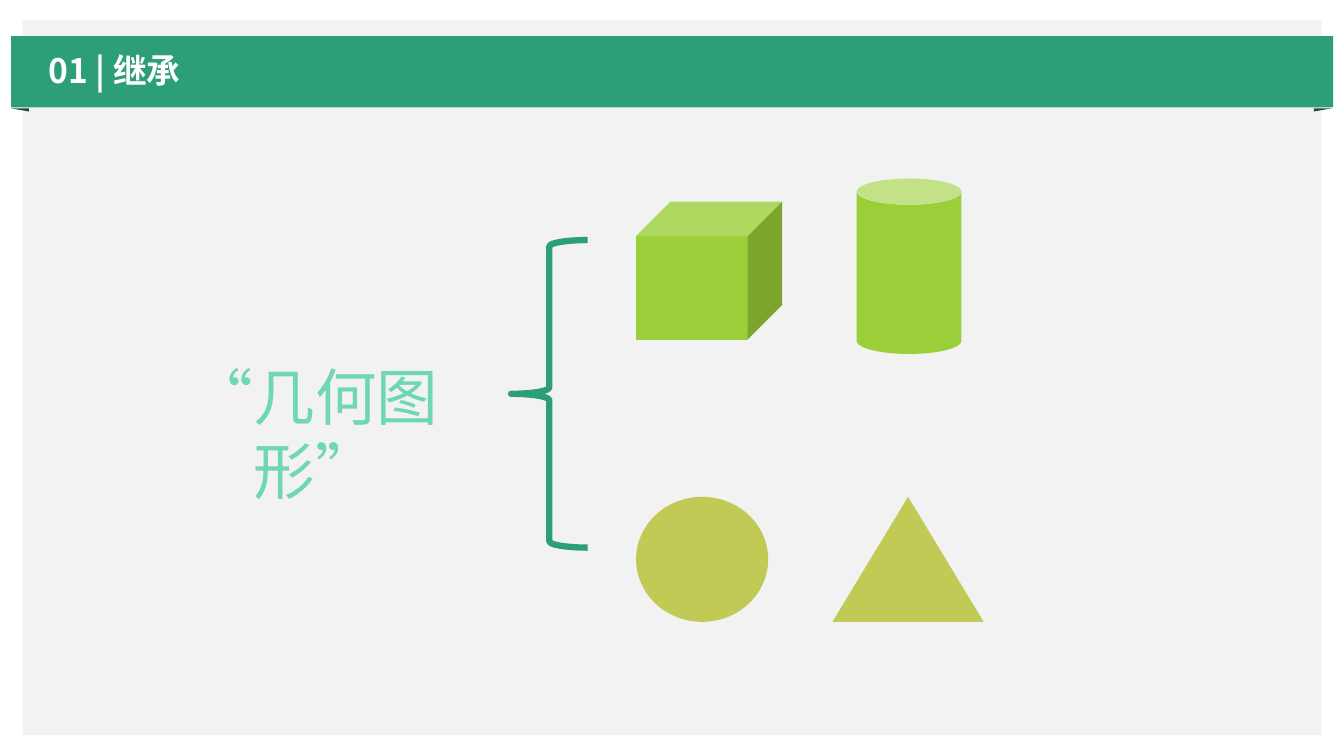
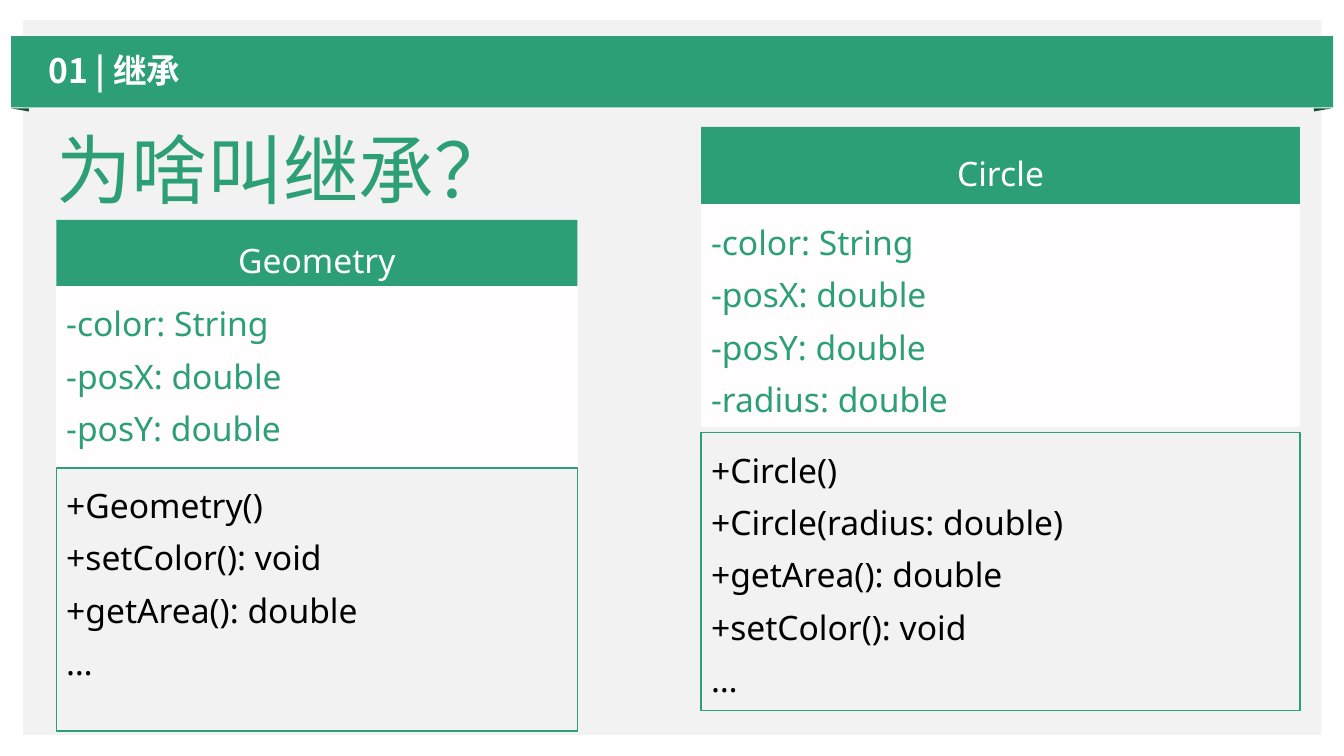
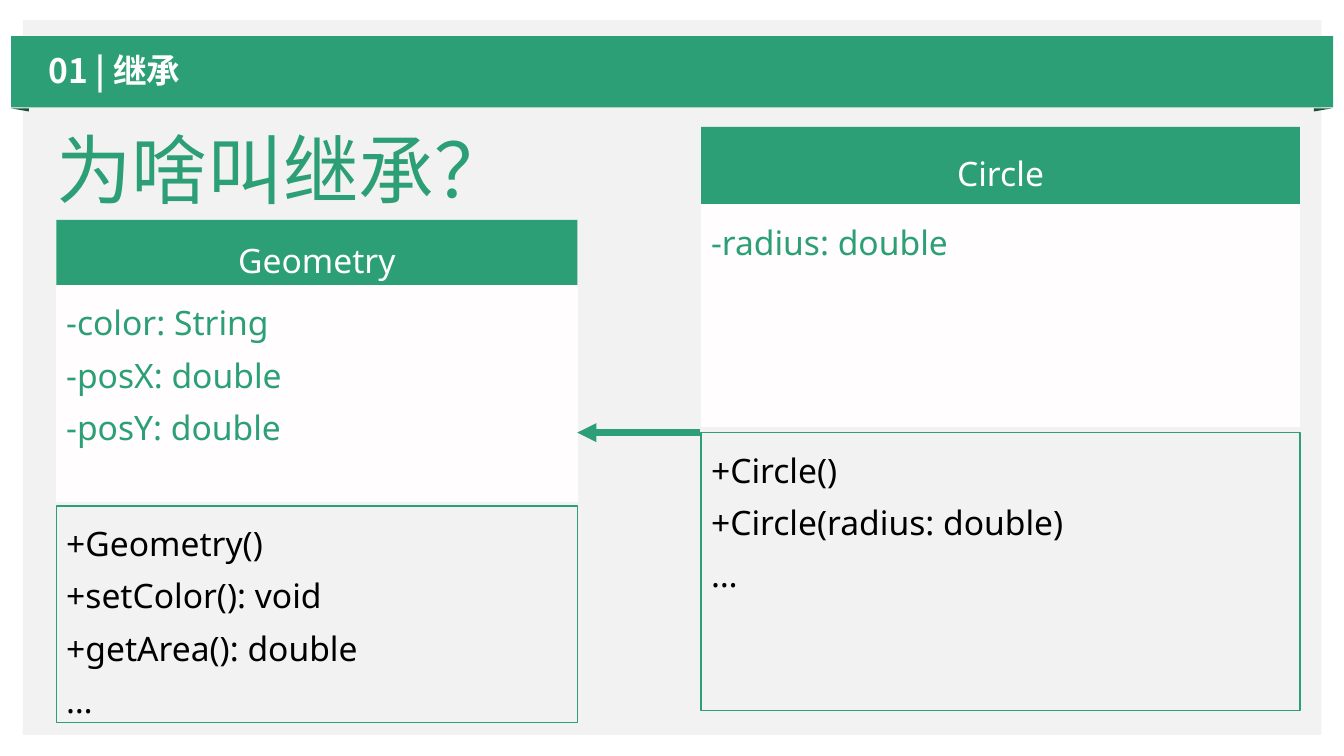
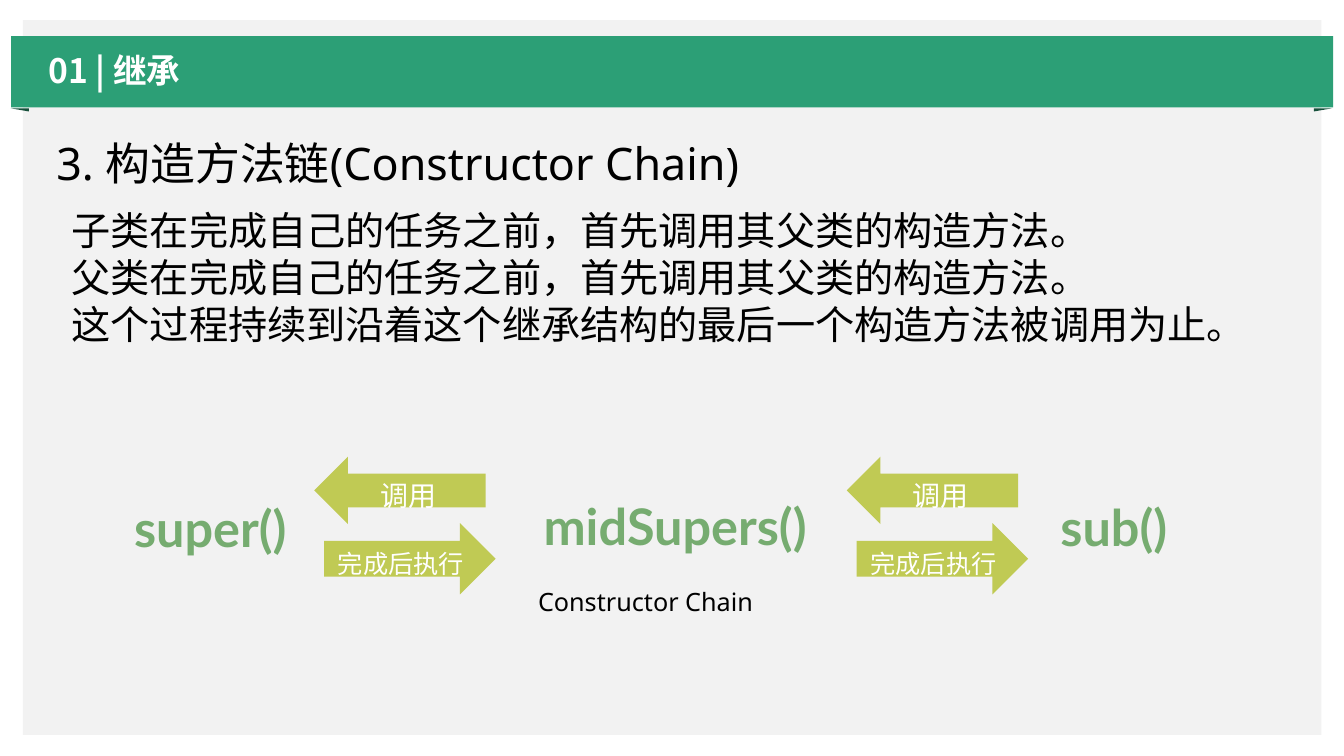
from lxml import etree
from pptx import Presentation
from pptx.dml.color import RGBColor
from pptx.enum import lang, shapes, text
from pptx.oxml import ns
from pptx.util import Cm, Pt

GREEN = RGBColor(0x2C, 0x9F, 0x76)
DARK_GREEN = RGBColor(0x16, 0x50, 0x3B)
MINT = RGBColor(0x6F, 0xD7, 0xB2)
SAGE = RGBColor(0x76, 0xAC, 0x70)
LIME = RGBColor(0x9B, 0xCF, 0x39)
OLIVE = RGBColor(0xC0, 0xCA, 0x54)
GREY = RGBColor(0xF2, 0xF2, 0xF2)
OFF_WHITE = RGBColor(0xFF, 0xFD, 0xFD)
WHITE = RGBColor(0xFF, 0xFF, 0xFF)
BLACK = RGBColor(0, 0, 0)
SANS, CJK, LATO = "Noto Sans", "Noto Sans CJK JP", "Lato"
SHAPE = shapes.MSO_SHAPE
ALIGN = text.PP_ALIGN
ANCHOR = text.MSO_ANCHOR
CONTENT_LAYOUT, TITLE_LAYOUT = 1, 5


def write(tf, lines, size, color=BLACK, font=SANS, bold=False, align=ALIGN.LEFT,
          anchor=ANCHOR.TOP, spacing=1.0, before=0, wrap=True, fit=text.MSO_AUTO_SIZE.NONE):
    """Fill a text frame with one paragraph per line, all in one format."""
    tf.word_wrap = wrap
    tf.auto_size = fit
    tf.vertical_anchor = anchor
    for i, line in enumerate(lines):
        p = tf.add_paragraph() if i else tf.paragraphs[0]
        p.alignment = align
        p.line_spacing = spacing
        p.space_before = Pt(before)
        r = p.add_run()
        r.text = line
        r.font.size = Pt(size)
        r.font.bold = bold
        r.font.color.rgb = color
        r.font.name = font
        r.font.language_id = lang.MSO_LANGUAGE_ID.SIMPLIFIED_CHINESE
        etree.SubElement(r._r.get_or_add_rPr(), ns.qn("a:ea"), typeface=CJK)


def place(sp, *box):
    """Move and size a shape to left, top, width, height in centimetres."""
    sp.left, sp.top, sp.width, sp.height = (Cm(v) for v in box)


def add_shape(parent, kind, box, fill=None, line=None, weight=1):
    """Add a flat preset shape."""
    sp = parent.shapes.add_shape(kind, *(Cm(v) for v in box))
    sp.shadow.inherit = False
    if fill is None:
        sp.fill.background()
    else:
        sp.fill.solid()
        sp.fill.fore_color.rgb = fill
    if line is None:
        sp.line.fill.background()
    else:
        sp.line.color.rgb = line
        sp.line.width = Pt(weight)
    return sp


def add_label(s, line, box, size, wrap=False, **fmt):
    """Add a text box that grows with its text."""
    sp = s.shapes.add_textbox(*(Cm(v) for v in box))
    write(sp.text_frame, [line], size, wrap=wrap,
          fit=text.MSO_AUTO_SIZE.SHAPE_TO_FIT_TEXT, **fmt)


def add_arrow(s, start, end, y):
    """Add a horizontal connector with an arrowhead at its end."""
    cn = s.shapes.add_connector(shapes.MSO_CONNECTOR.STRAIGHT, Cm(start), Cm(y), Cm(end), Cm(y))
    cn.line.color.rgb = GREEN
    cn.line.width = Pt(4.5)
    etree.SubElement(cn.line._get_or_add_ln(), ns.qn("a:tailEnd"), type="triangle")
    etree.SubElement(cn.element.spPr, ns.qn("a:effectLst"))


def add_class(s, name, attributes, methods, left, width, header, middle, bottom):
    """Add a grouped class diagram; each part is given by its top and height."""
    group = s.shapes.add_group_shape()
    sp = add_shape(group, SHAPE.RECTANGLE, (left, header[0], width, header[1]), GREEN)
    write(sp.text_frame, [name], 24, WHITE, align=ALIGN.CENTER, anchor=ANCHOR.MIDDLE, spacing=1.3)
    sp = add_shape(group, SHAPE.RECTANGLE, (left, middle[0], width, middle[1]),
                   OFF_WHITE, OFF_WHITE, 0.75)
    write(sp.text_frame, attributes, 24, GREEN, spacing=1.3)
    sp = add_shape(group, SHAPE.RECTANGLE, (left, bottom[0], width, bottom[1]), line=GREEN)
    write(sp.text_frame, methods, 24, spacing=1.3)


def add_geometry(s, middle, bottom):
    """Add the parent class."""
    add_class(s, "Geometry", ["-color: String", "-posX: double", "-posY: double"],
              ["+Geometry()", "+setColor(): void", "+getArea(): double", "…"],
              1.42, 13.13, (5.54, 1.73), middle, bottom)


def add_circle(s, attributes, methods):
    """Add the child class."""
    add_class(s, "Circle", attributes, methods,
              17.67, 15.09, (3.2, 2.03), (5.16, 5.59), (10.9, 7.01))


def add_block_arrow(s, kind, line, box, size):
    """Add a block arrow with a caption inside."""
    sp = add_shape(s, kind, box, OLIVE)
    write(sp.text_frame, [line], size, WHITE, CJK,
          align=ALIGN.CENTER, anchor=ANCHOR.MIDDLE, spacing=1.3)


def decorate_master(prs, s):
    """Put the panel and the folded ribbon on the master and set the title place."""
    parts = [add_shape(s, SHAPE.RECTANGLE, (0.58, 0.51, 32.72, 18.01), GREY),
             add_shape(s, SHAPE.RECTANGLE, (0.28, 0.91, 33.32, 1.8), GREEN)]
    for left, angle in ((0.46, 270), (33.3, 90)):
        fold = add_shape(s, SHAPE.ISOSCELES_TRIANGLE, (left, 2.54, 0.08, 0.46), DARK_GREEN)
        fold.adjustments[0] = 0
        fold.rotation = angle
        if angle == 270:
            fold.element.spPr.xfrm.set("flipH", "1")
        parts.append(fold)
    master = prs.slide_master
    place(master.placeholders[0], 0.97, 1.17, 31.8, 1.3)
    for i, sp in enumerate(parts, 2):
        master.shapes.element.insert(i, sp.element)


def new_slide(prs, layout=TITLE_LAYOUT):
    """Add a slide with the chapter title in the ribbon."""
    s = prs.slides.add_slide(prs.slide_layouts[layout])
    write(s.shapes.title.text_frame, ["01 | 继承"], 24, WHITE, CJK, bold=True,
          anchor=ANCHOR.MIDDLE, spacing=0.9, before=10)
    return s


def add_question(s):
    """Add the question above the class diagrams."""
    add_label(s, "为啥叫继承？", (1.17, 2.97, 12.07, 2.57), 54, color=GREEN)


def fill_shapes(s):
    """Slide on the family of geometric shapes."""
    add_label(s, "“几何图形”", (3.78, 8.92, 8.33, 2.13), 44, color=MINT, align=ALIGN.CENTER)
    add_shape(s, SHAPE.LEFT_BRACE, (12.88, 6.05, 1.93, 7.75), line=GREEN, weight=4.5)
    add_shape(s, SHAPE.CUBE, (16.03, 5.08, 3.68, 3.48), LIME)
    add_shape(s, SHAPE.OVAL, (16.03, 12.52, 3.33, 3.15), OLIVE)
    add_shape(s, SHAPE.ISOSCELES_TRIANGLE, (20.98, 12.52, 3.81, 3.15), OLIVE)
    add_shape(s, SHAPE.CAN, (21.59, 4.5, 2.64, 4.42), LIME)


def fill_separate(s):
    """Slide with two unrelated classes."""
    add_question(s)
    add_geometry(s, (7.21, 4.55), (11.79, 6.63))
    add_circle(s, ["-color: String", "-posX: double", "-posY: double", "-radius: double"],
               ["+Circle()", "+Circle(radius: double)", "+getArea(): double",
                "+setColor(): void", "…"])


def fill_inherited(s):
    """Slide with the child class pointing at its parent."""
    add_question(s)
    add_geometry(s, (7.19, 5.46), (12.75, 5.46))
    add_circle(s, ["-radius: double"], ["+Circle()", "+Circle(radius: double)", "…"])
    add_arrow(s, 17.65, 14.55, 10.9)


def fill_chain(s):
    """Slide on the constructor chain."""
    add_label(s, "3. 构造方法链(Constructor Chain)", (1.17, 3.3, 19.46, 1.63), 32)
    body = s.placeholders[1]
    place(body, 1.55, 5.08, 30.1, 3.84)
    write(body.text_frame, ["子类在完成自己的任务之前，首先调用其父类的构造方法。",
                            "父类在完成自己的任务之前，首先调用其父类的构造方法。",
                            "这个过程持续到沿着这个继承结构的最后一个构造方法被调用为止。"],
          28, font=LATO)
    for p in body.text_frame.paragraphs:
        pPr = p._p.get_or_add_pPr()
        pPr.set("marL", "0")
        pPr.set("indent", "0")
        etree.SubElement(pPr, ns.qn("a:buNone"))
    for name, left, top, width in (("super()", 2.67, 12.4, 5.26),
                                   ("midSupers()", 12.85, 12.34, 8.33),
                                   ("sub()", 26.09, 12.37, 3.96)):
        add_label(s, name, (left, top, width, 1.8), 36, color=SAGE, font=LATO,
                  bold=True, align=ALIGN.CENTER)
    for left in (7.92, 21.34):
        add_block_arrow(s, SHAPE.LEFT_ARROW, "调用", (left, 11.51, 4.32, 1.7), 20)
        add_block_arrow(s, SHAPE.RIGHT_ARROW, "完成后执行", (left + 0.25, 13.18, 4.32, 1.8), 18)
    add_label(s, "Constructor Chain", (13.31, 14.66, 6.88, 1.02), 18, wrap=True)


def main():
    """Build the deck."""
    prs = Presentation()
    prs.slide_width, prs.slide_height = Cm(33.87), Cm(19.05)
    first = new_slide(prs)
    decorate_master(prs, first)
    fill_shapes(first)
    fill_separate(new_slide(prs))
    fill_inherited(new_slide(prs))
    fill_chain(new_slide(prs, CONTENT_LAYOUT))
    prs.save("out.pptx")


main()
